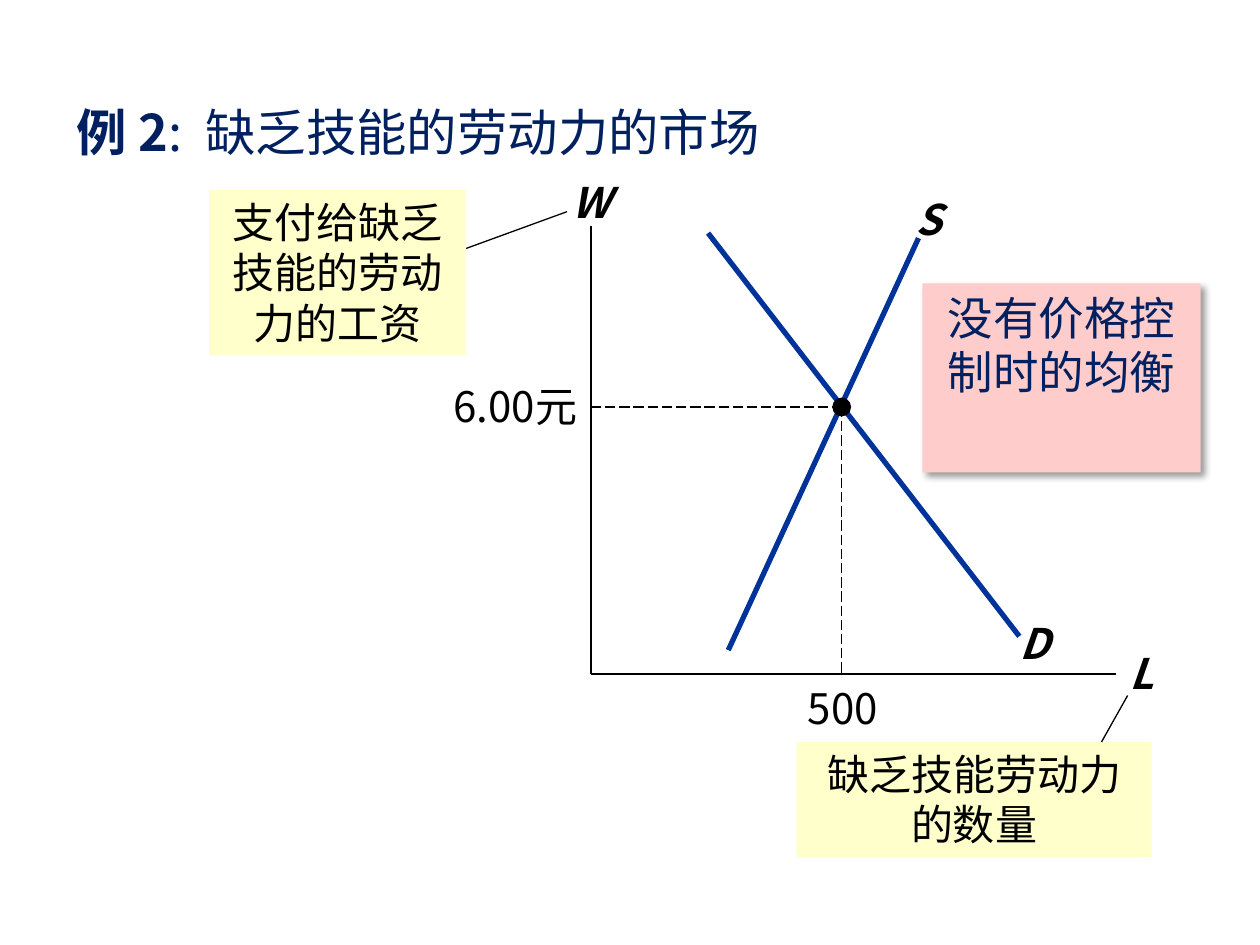
from dataclasses import dataclass
from typing import NamedTuple

from lxml.etree import SubElement
from pptx import Presentation
from pptx.dml.color import RGBColor
from pptx.enum.dml import MSO_LINE
from pptx.enum.shapes import MSO_CONNECTOR, MSO_SHAPE
from pptx.enum.text import MSO_ANCHOR, PP_ALIGN
from pptx.oxml.ns import qn
from pptx.util import Inches, Pt


@dataclass(frozen=True)
class Theme:
    font: str = "Noto Sans CJK SC"
    navy: str = "002060"
    curve: str = "003399"
    black: str = "000000"
    cream: str = "FFFFCC"
    pink: str = "FFCCCC"
    title: float = 28.8
    note: float = 26
    label: float = 24
    hairline: float = 0.75
    axis: float = 1
    thick: float = 3


THEME = Theme()


class Box(NamedTuple):
    left: float
    top: float
    width: float
    height: float

    def inches(self):
        return [Inches(value) for value in self]


def write(shape, text, size=THEME.label, color=THEME.black, align=PP_ALIGN.CENTER,
          anchor=MSO_ANCHOR.TOP, bold=False, italic=False, inset=True):
    """Fill a shape with one paragraph and return that paragraph."""
    frame = shape.text_frame
    frame.word_wrap = True
    frame.vertical_anchor = anchor
    if not inset:
        frame.margin_left = frame.margin_right = 0
        frame.margin_top = frame.margin_bottom = 0
    para = frame.paragraphs[0]
    para.text = text
    para.alignment = align
    font = para.font
    font.name = THEME.font
    font.size = Pt(size)
    font.color.rgb = RGBColor.from_string(color)
    font.bold, font.italic = bold, italic
    properties = para._p.pPr.find(qn("a:defRPr"))
    SubElement(properties, qn("a:ea"), typeface=THEME.font)
    return para


def add_label(page, box, text, **style):
    return write(page.shapes.add_textbox(*box.inches()), text, **style)


def add_filled(page, kind, box, color):
    shape = page.shapes.add_shape(kind, *box.inches())
    shape.shadow.inherit = False
    shape.fill.solid()
    shape.fill.fore_color.rgb = RGBColor.from_string(color)
    shape.line.fill.background()
    return shape


def add_line(page, start, end, color=THEME.black, width=THEME.hairline, dashed=False):
    points = [Inches(value) for value in (*start, *end)]
    line = page.shapes.add_connector(MSO_CONNECTOR.STRAIGHT, *points)
    line.line.color.rgb = RGBColor.from_string(color)
    line.line.width = Pt(width)
    if dashed:
        line.line.dash_style = MSO_LINE.LONG_DASH
    SubElement(line._element.spPr, qn("a:effectLst"))


def add_title(page, box):
    para = add_label(page, box, "例 2", size=THEME.title, color=THEME.navy,
                     anchor=MSO_ANCHOR.MIDDLE)
    para.runs[0].font.bold = True
    for text in (":", " ", "缺乏技能的劳动力的市场"):
        span = para.add_run()
        span.text = text
        if text == " ":  # widen the gap after the colon
            span._r.get_or_add_rPr().set("spc", "650")


def add_note(page, box):
    """Pink card with a soft shadow towards the lower right."""
    card = add_filled(page, MSO_SHAPE.RECTANGLE, box, THEME.pink)
    effects = card._element.spPr.find(qn("a:effectLst"))
    shadow = SubElement(effects, qn("a:outerShdw"), blurRad=str(Pt(4)), dist=str(Pt(3)),
                        dir=str(45 * 60000), algn="tl", rotWithShape="0")
    color = SubElement(shadow, qn("a:srgbClr"), val=THEME.black)
    SubElement(color, qn("a:alpha"), val="40000")
    write(card, "没有价格控制时的均衡", size=THEME.note, color=THEME.navy)


def add_callout(page, box, text, start, end):
    """Cream box with a leader; the leader's points are relative to the box."""
    add_line(page, *[(box.left + x, box.top + y) for x, y in (start, end)])
    write(add_filled(page, MSO_SHAPE.RECTANGLE, box, THEME.cream), text)


def add_market(page, box):
    """Supply and demand diagram; box is the area between the axes."""
    def at(x, y):
        return box.left + x, box.top + y

    # Axes
    corner = at(0, box.height)
    add_line(page, at(0, 0), corner, width=THEME.axis)
    add_line(page, corner, at(box.width, box.height), width=THEME.axis)

    # Demand and supply curves
    for start, end in (((0.93, 0.06), (3.4, 3.26)), ((1.09, 3.37), (2.6, 0.1))):
        add_line(page, at(*start), at(*end), THEME.curve, THEME.thick)

    # Names of axes and curves
    for name, x, y, width in (("W", -0.25, -0.44, 0.46), ("L", 4.12, 3.3, 0.5),
                              ("D", 3.24, 3.06, 0.56), ("S", 2.4, -0.3, 0.56)):
        add_label(page, Box(*at(x, y), width, 0.5), name, bold=True, italic=True)

    # Equilibrium point with its guides and values
    x, y, dot = 1.99, 1.44, 0.15
    add_line(page, at(0, y), at(x, y), dashed=True)
    add_line(page, at(x, y), at(x, box.height), dashed=True)
    add_filled(page, MSO_SHAPE.OVAL, Box(*at(x - dot / 2, y - dot / 2), dot, dot), THEME.black)
    add_label(page, Box(*at(-1.13, y - 0.21), 1.02, 0.4), "6.00元",
              align=PP_ALIGN.RIGHT, inset=False)
    add_label(page, Box(*at(x - 0.47, box.height + 0.07), 0.96, 0.4), "500", inset=False)


def main():
    deck = Presentation()
    deck.slide_width, deck.slide_height = Inches(10), Inches(7.5)
    page = deck.slides.add_slide(deck.slide_layouts[6])
    add_title(page, Box(0.43, 0.69, 5.78, 0.71))
    add_note(page, Box(7.32, 2.25, 2.21, 1.5))
    add_market(page, Box(4.69, 1.79, 4.17, 3.56))
    add_callout(page, Box(1.66, 1.51, 2.04, 1.31), "支付给缺乏技能的劳动力的工资",
                (1.99, 0.48), (2.84, 0.17))
    add_callout(page, Box(6.32, 5.89, 2.82, 0.91), "缺乏技能劳动力的数量",
                (2.27, 0.27), (2.63, -0.37))
    deck.save("out.pptx")


if __name__ == "__main__":
    main()
